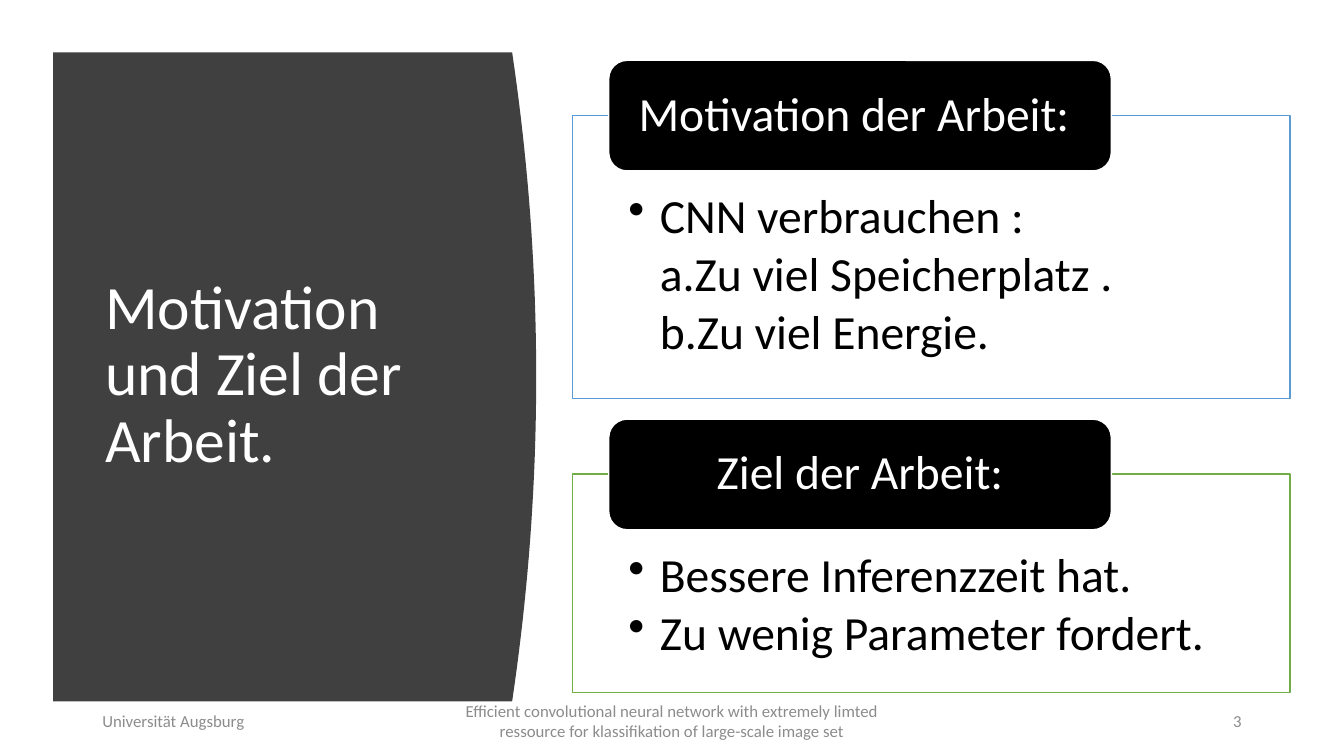
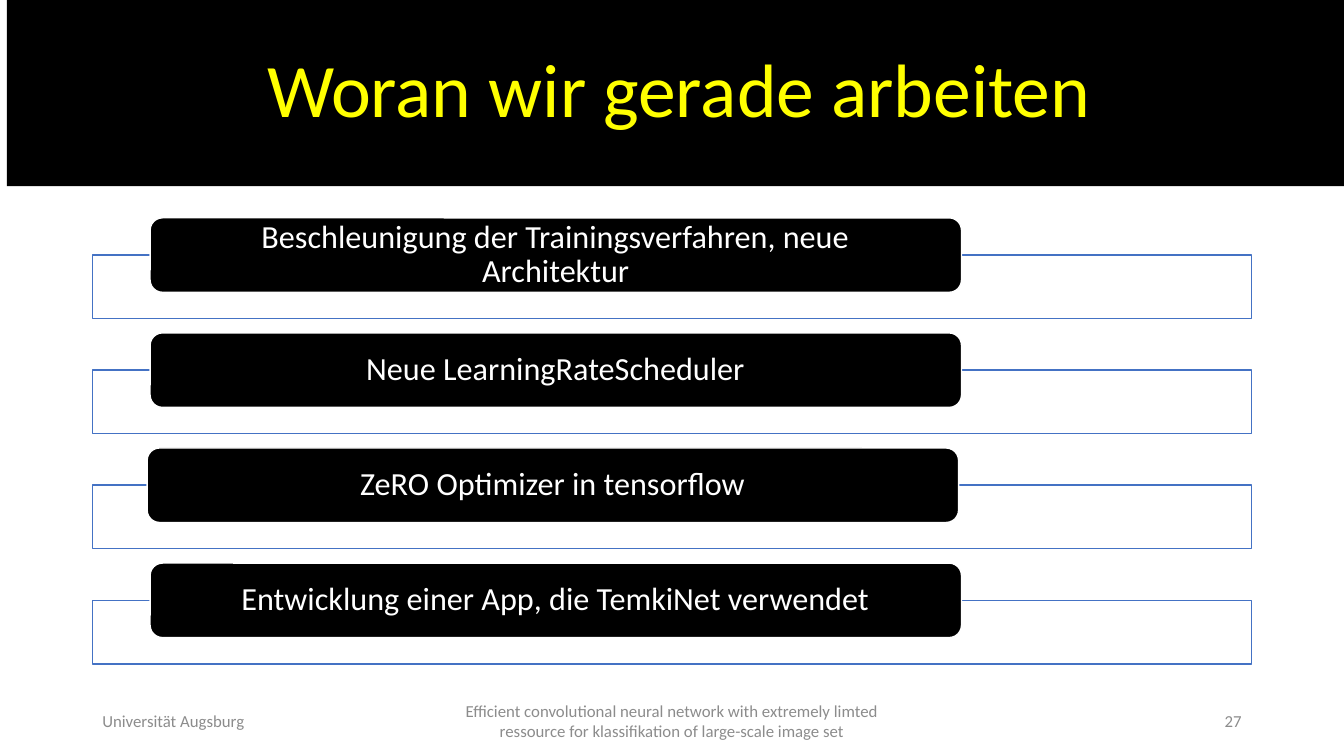
from dataclasses import dataclass

import pptx
import pptx.dml.color
import pptx.enum.shapes
import pptx.enum.text
import pptx.oxml.ns
import pptx.util
from lxml import etree
from pptx.shapes.autoshape import Shape
from pptx.slide import Slide

Pt = pptx.util.Pt
ALIGN = pptx.enum.text.PP_ALIGN
ANCHOR = pptx.enum.text.MSO_ANCHOR
KIND = pptx.enum.shapes.MSO_SHAPE

FONT = "Calibri"
BLACK, WHITE, YELLOW = "000000", "FFFFFF", "FFFF00"
DARK, GREY = "404040", "8C8C8C"
SKY, BLUE, GREEN = "5B9BD5", "4472C4", "70AD47"
HANG = 22.5
DOT = ("buChar", "char", "•")
ALPHA = ("buAutoNum", "type", "alphaLcPeriod")


@dataclass
class Area:
    left: float
    top: float
    width: float
    height: float


@dataclass
class Style:
    size: float
    color: str
    align: ALIGN = ALIGN.LEFT
    spacing: float = 0.9
    after: float = 0


@dataclass
class Item:
    text: str
    level: int = 1
    mark: tuple[str, str, str] = DOT


@dataclass
class Panel:
    head: str
    align: ALIGN
    top: float
    height: float
    line: str
    items: list[Item]


@dataclass
class Task:
    text: str
    left: float = 107.2


TITLE = Style(44, WHITE)
BANNER = Style(54, YELLOW, ALIGN.CENTER)
BODY = Style(34, BLACK, after=4.5)
LABEL = Style(23, WHITE, ALIGN.CENTER)

PANELS = [
    Panel("Motivation der Arbeit:", ALIGN.LEFT, 82.3, 202.3, SKY, [
        Item("CNN verbrauchen :"),
        Item("Zu viel Speicherplatz .", 2, ALPHA),
        Item("Zu viel Energie.", 2, ALPHA),
    ]),
    Panel("Ziel der Arbeit:", ALIGN.CENTER, 338.6, 156.2, GREEN, [
        Item("Bessere Inferenzzeit hat."),
        Item("Zu wenig Parameter fordert."),
    ]),
]
TASKS = [
    Task("Beschleunigung der Trainingsverfahren, neue Architektur"),
    Task("Neue LearningRateScheduler"),
    Task("ZeRO Optimizer in tensorflow", 105.1),
    Task("Entwicklung einer App, die TemkiNet verwendet"),
]
FOOTER = ("Efficient convolutional neural network with extremely limted "
          "ressource for klassifikation of large-scale image set")


def rgb(color: str) -> pptx.dml.color.RGBColor:
    return pptx.dml.color.RGBColor.from_string(color)


def paint(shape: Shape, fill: str, line: str = "") -> None:
    shape.shadow.inherit = False
    shape.fill.solid()
    shape.fill.fore_color.rgb = rgb(fill)
    if line:
        shape.line.color.rgb = rgb(line)
        shape.line.width = Pt(1)
    else:
        shape.line.fill.background()


def block(slide: Slide, kind: KIND, area: Area, fill: str, line: str = "") -> Shape:
    shape = slide.shapes.add_shape(
        kind, Pt(area.left), Pt(area.top), Pt(area.width), Pt(area.height))
    paint(shape, fill, line)
    return shape


def write(shape: Shape, lines: list[str], style: Style, anchor: ANCHOR = ANCHOR.MIDDLE,
          side: float = 7.2, top: float = 3.6, bottom: float = 3.6) -> None:
    frame = shape.text_frame
    frame.word_wrap = True
    frame.vertical_anchor = anchor
    frame.margin_left = frame.margin_right = Pt(side)
    frame.margin_top, frame.margin_bottom = Pt(top), Pt(bottom)
    frame.text = "\n".join(lines)
    for para in frame.paragraphs:
        para.alignment = style.align
        para.line_spacing = style.spacing
        para.space_after = Pt(style.after)
        para.font.name = FONT
        para.font.size = Pt(style.size)
        para.font.color.rgb = rgb(style.color)


def label(slide: Slide, area: Area, text: str, style: Style) -> None:
    box = slide.shapes.add_textbox(
        Pt(area.left), Pt(area.top), Pt(area.width), Pt(area.height))
    write(box, [text], style)


def pill(slide: Slide, area: Area, text: str, style: Style, side: float) -> None:
    shape = block(slide, KIND.ROUNDED_RECTANGLE, area, BLACK, WHITE)
    write(shape, [text], style, side=side, top=0, bottom=0)


def bullet(shape: Shape, items: list[Item]) -> None:
    """Give each paragraph its hanging indent and mark."""
    for para, item in zip(shape.text_frame.paragraphs, items):
        para.level = item.level
        props = para._p.get_or_add_pPr()
        props.set("marL", str(Pt(HANG * item.level)))
        props.set("indent", str(-Pt(HANG)))
        tag, key, value = item.mark
        mark = etree.Element(pptx.oxml.ns.qn(f"a:{tag}"), {key: value})
        props.find(pptx.oxml.ns.qn("a:defRPr")).addprevious(mark)


def curve(slide: Slide) -> None:
    """Draw the dark field whose right edge bulges as a parabola."""
    left, top, base, peak, bulge, steps = 38, 37.4, 501, 383, 17.2, 40
    edge = []
    for step in range(steps + 1):
        part = step / steps
        edge.append((Pt(peak - bulge * (2 * part - 1) ** 2),
                     Pt(top + (base - top) * part)))
    build = slide.shapes.build_freeform(Pt(left), Pt(top))
    build.add_line_segments([*edge, (Pt(left), Pt(base))], close=True)
    paint(build.convert_to_shape(), DARK)


def foot(slide: Slide, number: int) -> None:
    for left, width, text, align in (
        (66, 216, "Universität Augsburg", ALIGN.LEFT),
        (318, 324, FOOTER, ALIGN.CENTER),
        (678, 216, str(number), ALIGN.RIGHT),
    ):
        label(slide, Area(left, 500.5, width, 28.8), text, Style(12, GREY, align, 1))


def goals(slide: Slide) -> None:
    curve(slide)
    label(slide, Area(68, 80, 269, 377), "Motivation und Ziel der Arbeit.", TITLE)
    for panel in PANELS:
        box = block(slide, KIND.RECTANGLE,
                    Area(409, panel.top, 512.6, panel.height), WHITE, panel.line)
        write(box, [item.text for item in panel.items], BODY, ANCHOR.TOP,
              39.8, 55.4, 18.7)
        bullet(box, panel.items)
        pill(slide, Area(434.8, panel.top - 39.2, 359, 79), panel.head,
             Style(34, WHITE, panel.align), 17.5)
    foot(slide, 3)


def plans(slide: Slide) -> None:
    band = block(slide, KIND.RECTANGLE, Area(5, 0, 960, 133), BLACK)
    write(band, ["Woran wir gerade arbeiten"], BANNER)
    for row, task in enumerate(TASKS):
        top = 182.2 + 82.2 * row
        block(slide, KIND.RECTANGLE, Area(66, top, 828, 45.4), WHITE, BLUE)
        pill(slide, Area(task.left, top - 26.6, 579.6, 53.2), task.text, LABEL, 24.5)
    foot(slide, 27)


def main() -> None:
    deck = pptx.Presentation()
    deck.slide_width, deck.slide_height = Pt(960), Pt(540)
    for draw in (goals, plans):
        draw(deck.slides.add_slide(deck.slide_layouts[6]))
    deck.save("out.pptx")


if __name__ == "__main__":
    main()
